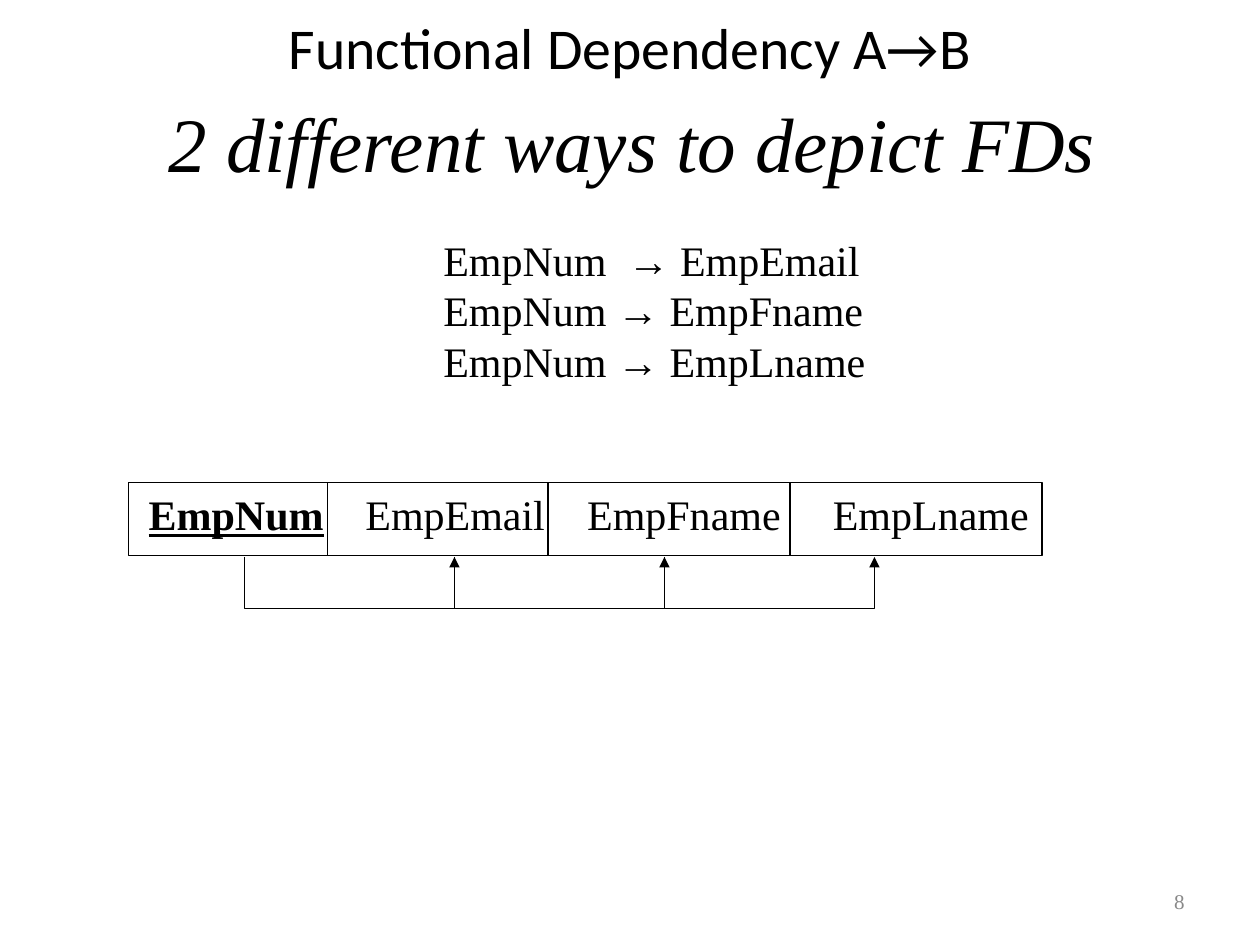
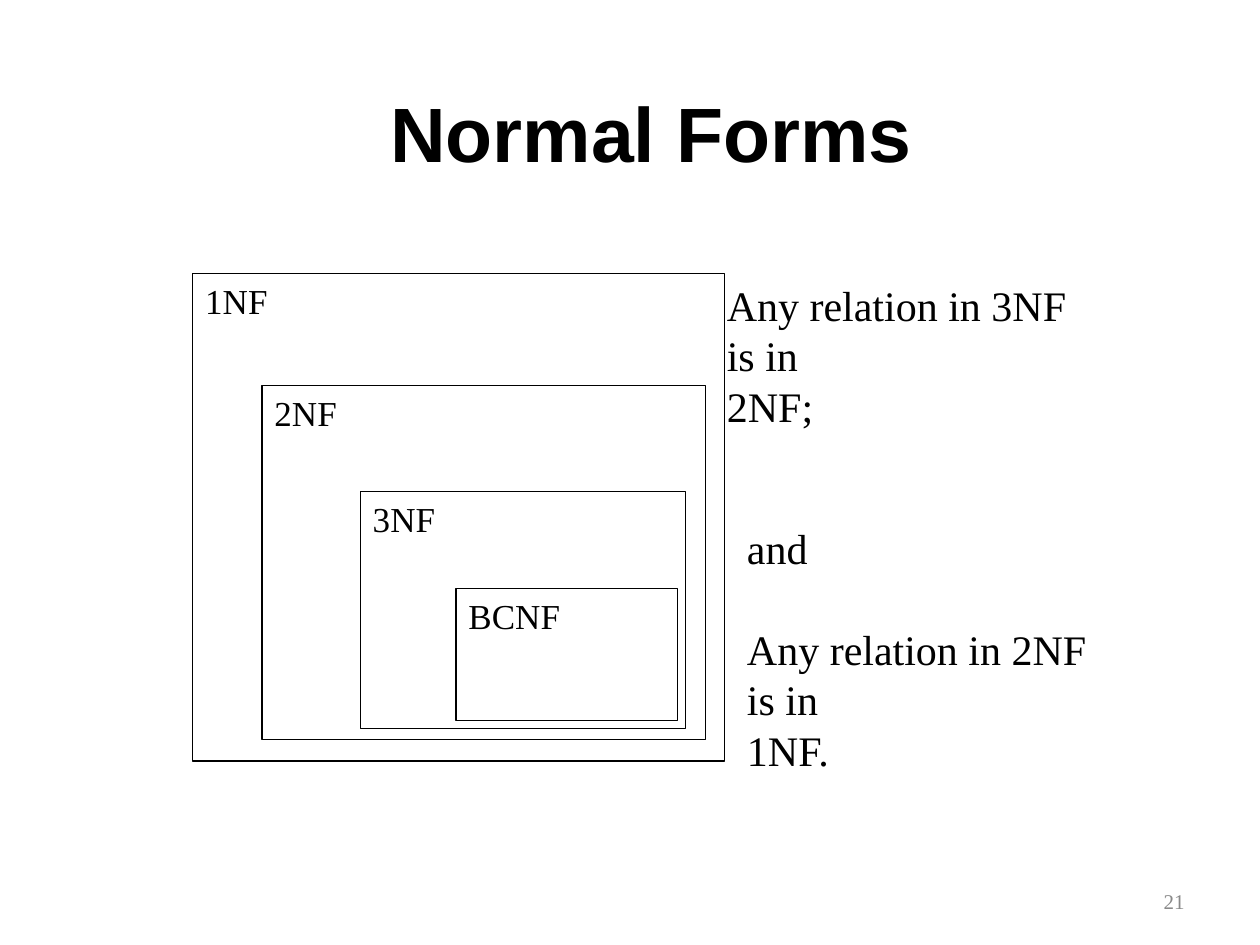
from dataclasses import dataclass
from itertools import accumulate
from lxml import etree
from pptx import Presentation
from pptx.dml.color import RGBColor
from pptx.enum.shapes import MSO_SHAPE
from pptx.enum.text import MSO_ANCHOR as Anchor, PP_ALIGN as Align
from pptx.oxml.ns import qn
from pptx.util import Inches, Pt


@dataclass(frozen=True)
class Theme:
    ink: RGBColor = RGBColor(0x00, 0x00, 0x00)
    muted: RGBColor = RGBColor(0x89, 0x89, 0x89)
    serif: str = "Times New Roman"
    sans: str = "Arial"
    heading: str = "Calibri"
    title: int = 44
    subject: int = 33
    body: int = 24
    label: int = 20
    footer: int = 12
    line: float = 0.75


THEME = Theme()


@dataclass(frozen=True)
class Box:
    left: float
    top: float
    width: float
    height: float

    def emu(self) -> tuple:
        return tuple(Inches(v) for v in (self.left, self.top, self.width, self.height))


@dataclass(frozen=True)
class Style:
    size: int = THEME.body
    font: str = THEME.serif
    color: RGBColor = THEME.ink
    bold: bool = False
    italic: bool = False
    underline: bool = False
    align: Align = Align.LEFT
    anchor: Anchor = Anchor.TOP


@dataclass(frozen=True)
class Column:
    name: str
    width: float
    indent: float
    key: bool = False


@dataclass(frozen=True)
class NormalForm:
    name: str
    box: Box


BODY = Style()
LABEL = Style(THEME.label)
PAGE_NUMBER = Style(THEME.footer, color=THEME.muted, align=Align.RIGHT, anchor=Anchor.MIDDLE)
SUBJECT = Style(THEME.subject, THEME.heading, align=Align.CENTER, anchor=Anchor.MIDDLE)
SERIF_TITLE = Style(THEME.title, italic=True, align=Align.CENTER, anchor=Anchor.MIDDLE)
SANS_TITLE = Style(THEME.title, THEME.sans, bold=True, align=Align.CENTER, anchor=Anchor.MIDDLE)

DEPENDENCIES = ("EmpNum  → EmpEmail", "EmpNum → EmpFname", "EmpNum → EmpLname")
COLUMNS = (
    Column("EmpNum", 1.58, 0.16, key=True),
    Column("EmpEmail", 1.75, 0.3),
    Column("EmpFname", 1.92, 0.31),
    Column("EmpLname", 2.0, 0.34),
)
FORMS = (
    NormalForm("BCNF", Box(3.62, 4.67, 1.76, 1.05)),
    NormalForm("3NF", Box(2.86, 3.9, 2.58, 1.88)),
    NormalForm("2NF", Box(2.08, 3.06, 3.52, 2.81)),
    NormalForm("1NF", Box(1.53, 2.17, 4.22, 3.87)),
)


def write(shape, lines: tuple, style: Style) -> None:
    tf = shape.text_frame
    tf.word_wrap = True
    tf.vertical_anchor = style.anchor
    for i, line in enumerate(lines):
        p = tf.add_paragraph() if i else tf.paragraphs[0]
        p.text = line
        p.alignment = style.align
        font = p.font
        font.size, font.name, font.color.rgb = Pt(style.size), style.font, style.color
        font.bold, font.italic, font.underline = style.bold, style.italic, style.underline


def add_text(s, box: Box, lines: tuple, style: Style = BODY):
    tb = s.shapes.add_textbox(*box.emu())
    write(tb, lines, style)
    return tb


def outline(shape) -> None:
    shape.shadow.inherit = False
    shape.fill.background()
    shape.line.color.rgb = THEME.ink
    shape.line.width = Pt(THEME.line)


def add_frame(s, box: Box, label: str, style: Style):
    sp = s.shapes.add_shape(MSO_SHAPE.RECTANGLE, *box.emu())
    outline(sp)
    write(sp, (label,), style)
    return sp


def add_elbow(s, start: float, end: float, top: float, bottom: float) -> None:
    """Draw a U-shaped arrow below the relation."""
    points = [(Inches(x), Inches(y)) for x, y in
              ((start, top), (start, bottom), (end, bottom), (end, top))]
    builder = s.shapes.build_freeform(*points[0])
    builder.add_line_segments(points[1:], close=False)
    sp = builder.convert_to_shape()
    outline(sp)
    etree.SubElement(sp.line._get_or_add_ln(), qn("a:tailEnd"), type="triangle")


def new_slide(prs, number: int, title: str, box: Box, style: Style):
    s = prs.slides.add_slide(prs.slide_layouts[6])
    add_text(s, box, (title,), style)
    add_text(s, Box(7.17, 6.95, 2.33, 0.4), (str(number),), PAGE_NUMBER)
    return s


def dependency_slide(prs) -> None:
    s = new_slide(prs, 8, "2 different ways to depict FDs", Box(0.52, 0.5, 9, 1.25), SERIF_TITLE)
    add_text(s, Box(0.75, 0.08, 8.5, 0.58), ("Functional Dependency A→B",), SUBJECT)
    add_text(s, Box(3.42, 1.81, 4, 1.3), DEPENDENCIES)

    # Relation with its key underlined
    top, height = 3.83, 0.58
    lefts = accumulate((c.width for c in COLUMNS), initial=1.02)
    for column, left in zip(COLUMNS, lefts):
        style = Style(bold=column.key, underline=column.key)
        cell = add_frame(s, Box(left, top, column.width, height), column.name, style)
        cell.text_frame.margin_left = Inches(column.indent)
        cell.text_frame.margin_right = 0

    # Arrows from the key to each dependent column
    first, step = 1.94, 5 / 3
    for i in range(len(COLUMNS) - 1):
        start = first + i * step
        add_elbow(s, start, start + step, 4.42, 4.83)


def normal_forms_slide(prs) -> None:
    s = new_slide(prs, 21, "Normal Forms", Box(0.67, 0.42, 9, 1.25), SANS_TITLE)

    # Nested forms
    for form in FORMS:
        add_frame(s, form.box, form.name, LABEL)

    # Explanation
    add_text(s, Box(5.67, 2.17, 4.08, 1.4), ("Any relation in 3NF", "is in", "2NF;"))
    tb = add_text(s, Box(5.83, 4.1, 4.08, 2.2), ("and", "Any relation in 2NF", "is in", "1NF."))
    tb.text_frame.paragraphs[1].space_before = Pt(1.2 * THEME.body)


def main() -> None:
    prs = Presentation()
    prs.slide_width, prs.slide_height = Inches(10), Inches(7.5)
    dependency_slide(prs)
    normal_forms_slide(prs)
    prs.save("out.pptx")


if __name__ == "__main__":
    main()
